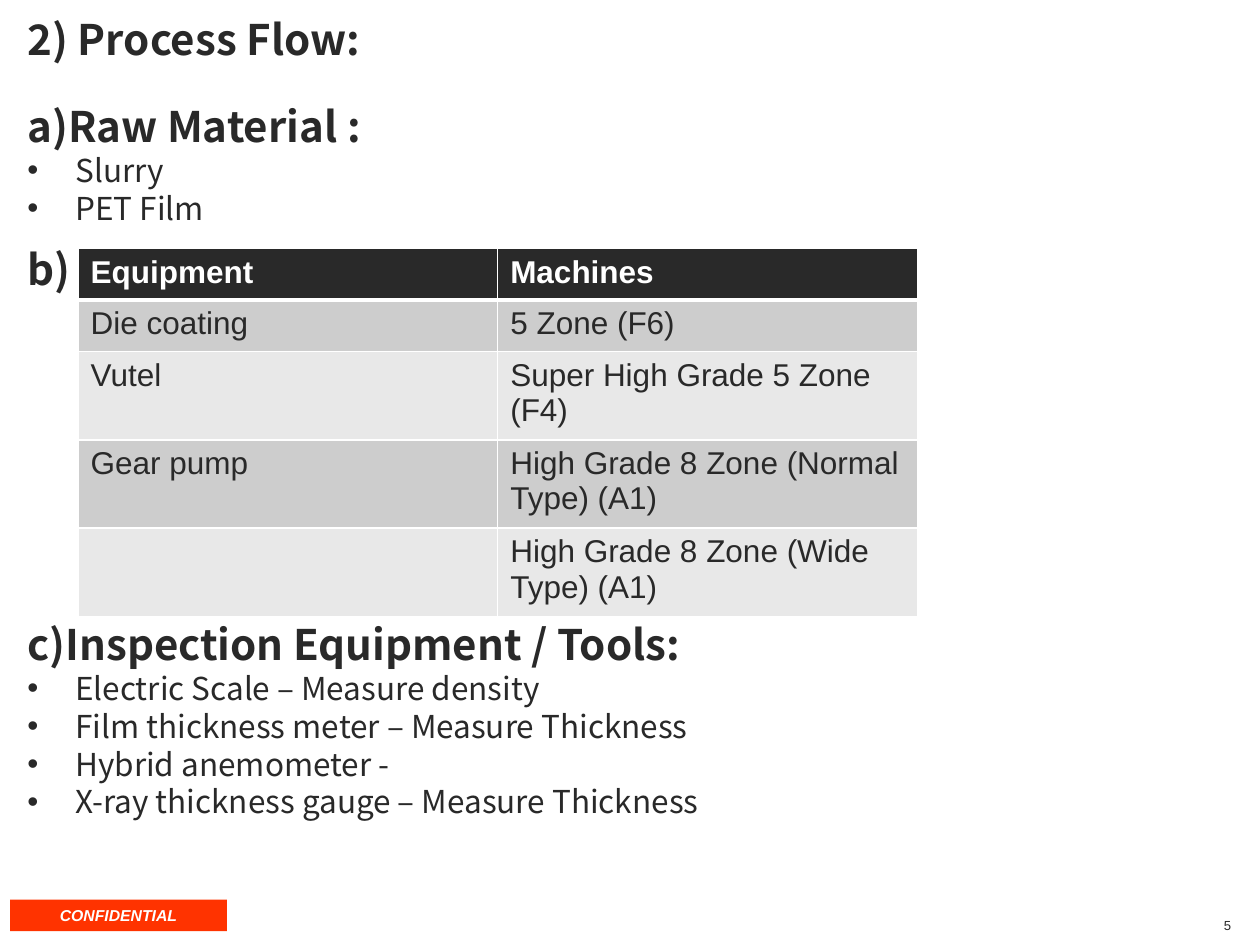
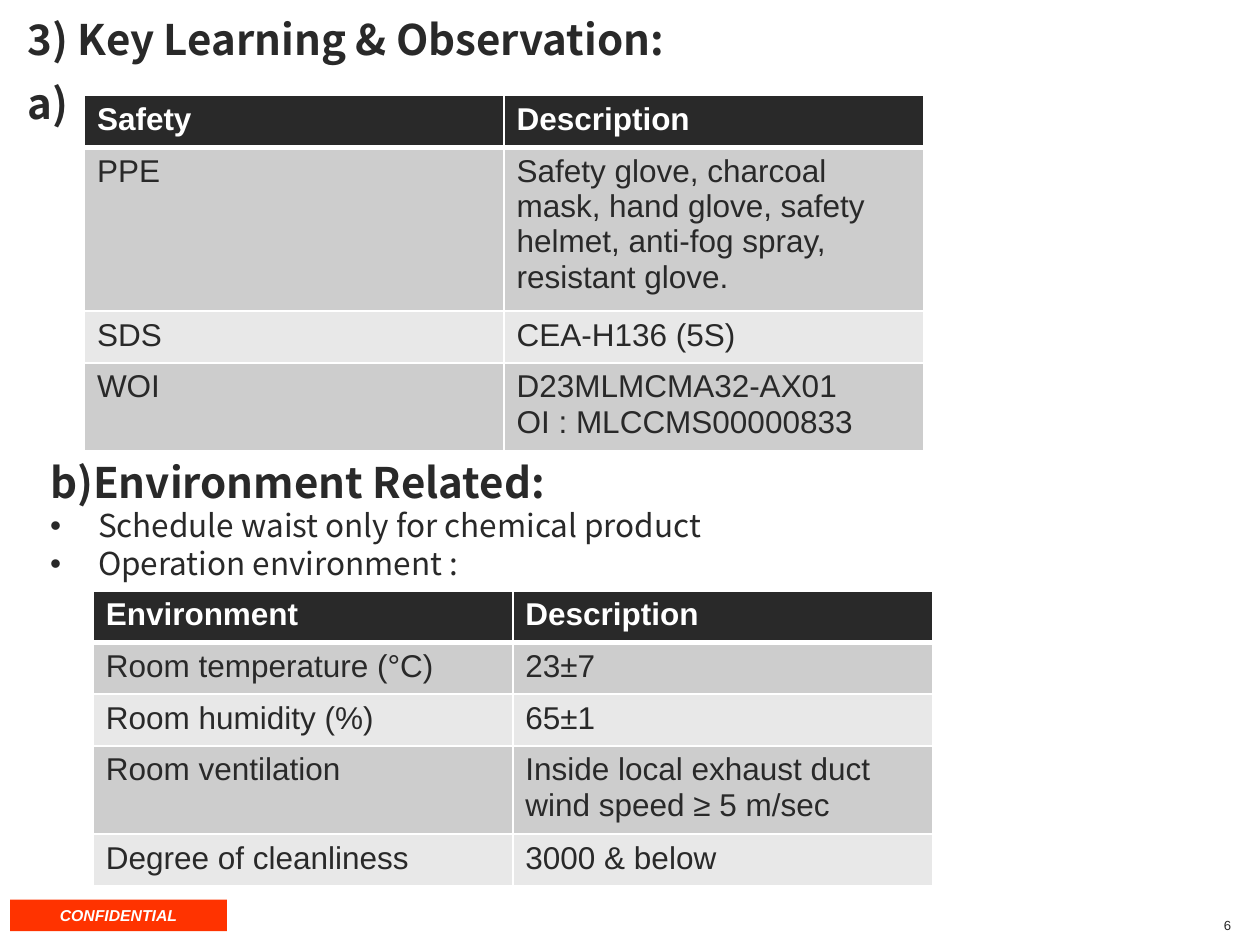
from dataclasses import dataclass

from lxml import etree
from pptx import Presentation
from pptx.dml.color import RGBColor
from pptx.enum.shapes import MSO_SHAPE
from pptx.enum.text import MSO_ANCHOR, MSO_AUTO_SIZE, PP_ALIGN
from pptx.oxml.ns import qn
from pptx.util import Inches, Pt

RECTANGLE = MSO_SHAPE.RECTANGLE
TOP, MIDDLE = MSO_ANCHOR.TOP, MSO_ANCHOR.MIDDLE
LEFT, CENTER, RIGHT = PP_ALIGN.LEFT, PP_ALIGN.CENTER, PP_ALIGN.RIGHT
NO_AUTOFIT = MSO_AUTO_SIZE.NONE

COLORS = {
    "ink": "292929",
    "white": "FFFFFF",
    "alert": "FF3300",
    "dark_band": "CDCDCD",
    "light_band": "E8E8E8",
}
HEADING_FONT = "Noto Sans CJK JP"
BODY_FONT = "Arial"
TITLE_ONLY_LAYOUT = 5
TEXT_WIDTH = 7.5
COLUMN_WIDTH = 3.33
BULLET_INDENT = Inches(0.38)
LINE_PITCH = 1.2


@dataclass
class Section:
    left: float
    top: float
    heading: str
    bullets: tuple[str, ...] = ()


@dataclass
class Row:
    label: str
    detail: str
    lines: int = 1


@dataclass
class Grid:
    left: float
    top: float
    rows: list[Row]


@dataclass
class Page:
    number: int
    title: str
    sections: list[Section]
    grids: list[Grid]


PAGES = [
    Page(
        5,
        "2) Process Flow:",
        [
            Section(0.12, 0.75, "a)Raw Material :", ("Slurry", "PET Film")),
            Section(0.12, 1.88, "b)"),
            Section(
                0.12,
                4.86,
                "c)Inspection Equipment / Tools:",
                (
                    "Electric Scale – Measure density",
                    "Film thickness meter – Measure Thickness",
                    "Hybrid anemometer -",
                    "X-ray thickness gauge – Measure Thickness",
                ),
            ),
        ],
        [
            Grid(
                0.62,
                1.97,
                [
                    Row("Equipment", "Machines"),
                    Row("Die coating", "5 Zone (F6)"),
                    Row("Vutel", "Super High Grade 5 Zone (F4)", 2),
                    Row("Gear pump", "High Grade 8 Zone (Normal Type) (A1)", 2),
                    Row("", "High Grade 8 Zone (Wide Type) (A1)", 2),
                ],
            )
        ],
    ),
    Page(
        6,
        "3) Key Learning & Observation:",
        [
            Section(0.12, 0.57, "a)"),
            Section(
                0.3,
                3.57,
                "b)Environment Related:",
                ("Schedule waist only for chemical product", "Operation environment :"),
            ),
        ],
        [
            Grid(
                0.67,
                0.76,
                [
                    Row("Safety", "Description"),
                    Row(
                        "PPE",
                        "Safety glove, charcoal mask, hand glove, safety helmet, "
                        "anti-fog spray, resistant glove.",
                        4,
                    ),
                    Row("SDS", "CEA-H136 (5S)"),
                    Row("WOI", "D23MLMCMA32-AX01\nOI : MLCCMS00000833", 2),
                ],
            ),
            Grid(
                0.74,
                4.69,
                [
                    Row("Environment", "Description"),
                    Row("Room temperature (°C)", "23±7"),
                    Row("Room humidity (%)", "65±1"),
                    Row("Room ventilation", "Inside local exhaust duct wind speed ≥ 5 m/sec", 2),
                    Row("Degree of cleanliness", "3000 & below"),
                ],
            ),
        ],
    ),
]


def color(name: str) -> RGBColor:
    return RGBColor.from_string(COLORS[name])


def style(paragraph, size: float, font=BODY_FONT, ink="ink", bold=False, italic=False, align=LEFT) -> None:
    paragraph.alignment = align
    paragraph.font.name = font
    paragraph.font.size = Pt(size)
    paragraph.font.bold = bold
    paragraph.font.italic = italic
    paragraph.font.color.rgb = color(ink)


def style_section_line(paragraph, size: float, bold: bool) -> None:
    paragraph.line_spacing = Pt(size * LINE_PITCH)
    style(paragraph, size, HEADING_FONT, bold=bold)


def add_bullet(paragraph) -> None:
    properties = paragraph._p.get_or_add_pPr()
    properties.set("marL", str(BULLET_INDENT))
    properties.set("indent", str(-BULLET_INDENT))
    etree.SubElement(properties, qn("a:buFont")).set("typeface", BODY_FONT)
    etree.SubElement(properties, qn("a:buChar")).set("char", "•")


def draw_title(slide, text: str) -> None:
    title = slide.shapes.title
    title.left, title.top = Inches(0.12), Inches(0.06)
    title.width, title.height = Inches(TEXT_WIDTH), Inches(0.5)
    frame = title.text_frame
    frame.text = text
    frame.word_wrap = True
    frame.auto_size = NO_AUTOFIT
    frame.vertical_anchor = TOP
    style_section_line(frame.paragraphs[0], 24, True)


def draw_section(slide, section: Section) -> None:
    height = 0.5 + 0.305 * len(section.bullets)
    box = slide.shapes.add_textbox(
        Inches(section.left), Inches(section.top), Inches(TEXT_WIDTH), Inches(height)
    )
    frame = box.text_frame
    frame.word_wrap = True
    frame.text = section.heading
    style_section_line(frame.paragraphs[0], 24, True)
    for bullet in section.bullets:
        paragraph = frame.add_paragraph()
        paragraph.text = bullet
        add_bullet(paragraph)
        style_section_line(paragraph, 18, False)


def add_borders(cell, top: float, bottom: float) -> None:
    properties = cell._tc.get_or_add_tcPr()
    for side, width in (("L", 1), ("R", 1), ("T", top), ("B", bottom)):
        line = etree.SubElement(properties, qn(f"a:ln{side}"), w=str(Pt(width)))
        fill = etree.SubElement(line, qn("a:solidFill"))
        etree.SubElement(fill, qn("a:srgbClr"), val=COLORS["white"])


def draw_grid(slide, grid: Grid) -> None:
    heights = [Inches(0.12 + 0.29 * row.lines) for row in grid.rows]
    table = slide.shapes.add_table(
        len(grid.rows), 2, Inches(grid.left), Inches(grid.top), Inches(2 * COLUMN_WIDTH), sum(heights)
    ).table
    for column in table.columns:
        column.width = Inches(COLUMN_WIDTH)
    for index, row in enumerate(grid.rows):
        table.rows[index].height = heights[index]
        header = index == 0
        band = "ink" if header else "dark_band" if index % 2 else "light_band"
        for cell, text in zip(table.rows[index].cells, (row.label, row.detail)):
            cell.text = text
            add_borders(cell, 3 if index == 1 else 1, 3 if header else 1)
            cell.fill.solid()
            cell.fill.fore_color.rgb = color(band)
            for paragraph in cell.text_frame.paragraphs:
                style(paragraph, 18, ink="white" if header else "ink", bold=header)


def draw_footer(slide, number: int) -> None:
    label = slide.shapes.add_shape(RECTANGLE, Inches(0.08), Inches(7.14), Inches(1.72), Inches(0.25))
    label.shadow.inherit = False
    label.fill.solid()
    label.fill.fore_color.rgb = color("alert")
    label.line.fill.background()
    label.text_frame.text = "CONFIDENTIAL"
    label.text_frame.vertical_anchor = MIDDLE
    style(label.text_frame.paragraphs[0], 9, ink="white", bold=True, italic=True, align=CENTER)

    box = slide.shapes.add_textbox(Inches(7.54), Inches(7.22), Inches(2.33), Inches(0.24))
    box.text_frame.word_wrap = True
    box.text_frame.vertical_anchor = MIDDLE
    box.text_frame.text = str(number)
    style(box.text_frame.paragraphs[0], 7.5, align=RIGHT)


def main() -> None:
    deck = Presentation()
    deck.slide_width, deck.slide_height = Inches(10), Inches(7.5)
    for page in PAGES:
        slide = deck.slides.add_slide(deck.slide_layouts[TITLE_ONLY_LAYOUT])
        draw_title(slide, page.title)
        for section in page.sections:
            draw_section(slide, section)
        for grid in page.grids:
            draw_grid(slide, grid)
        draw_footer(slide, page.number)
    deck.save("out.pptx")


if __name__ == "__main__":
    main()
